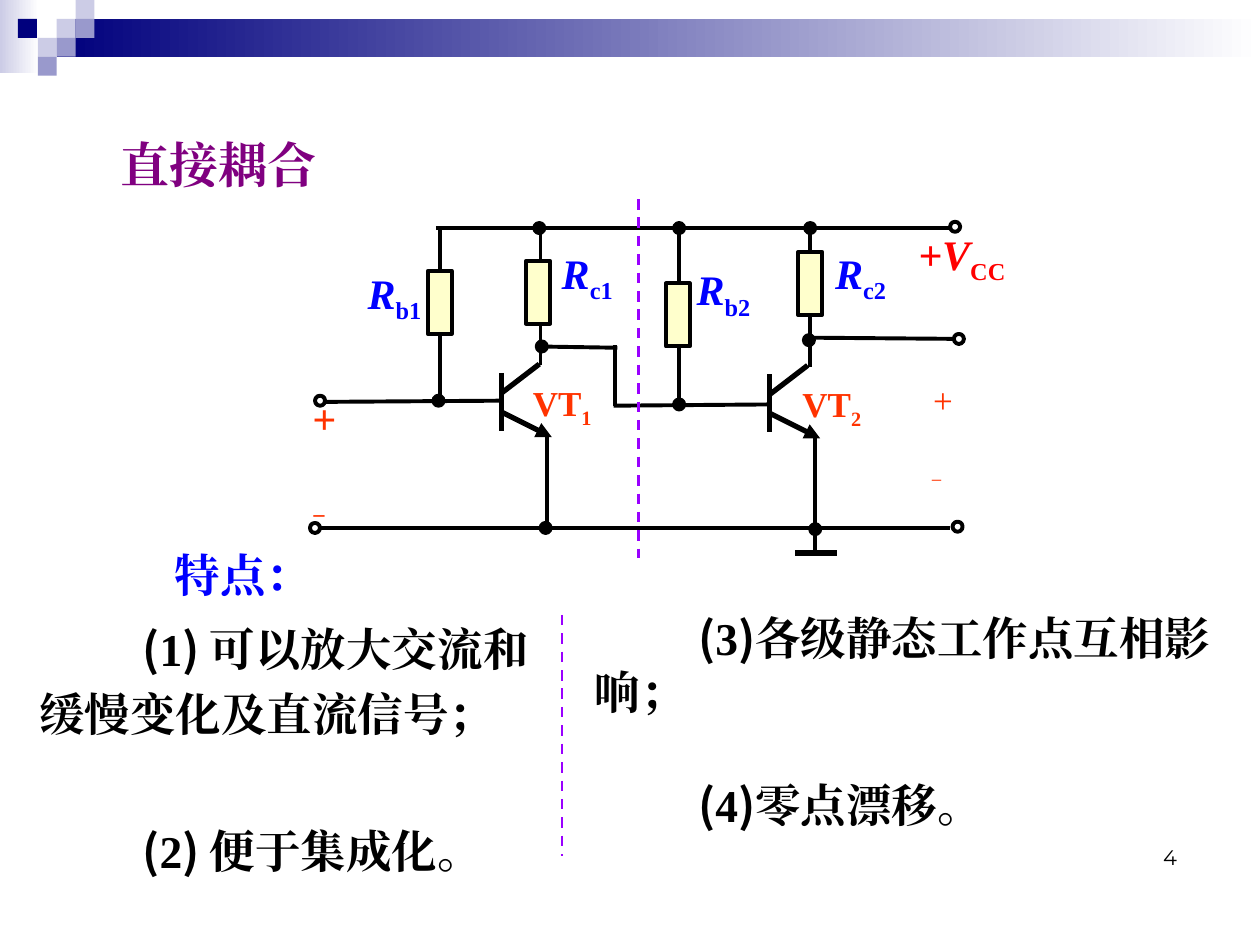
from pptx import Presentation
from pptx.dml.color import RGBColor
from pptx.enum.dml import MSO_LINE
from pptx.enum.shapes import MSO_CONNECTOR, MSO_SHAPE
from pptx.enum.text import MSO_ANCHOR, MSO_AUTO_SIZE, PP_ALIGN
from pptx.oxml.ns import qn
from pptx.util import Inches, Pt
from lxml.etree import SubElement

THEME = {
    "serif": "Times New Roman", "sans": "Noto Sans CJK SC", "number": "Montserrat",
    "black": "000000", "white": "FFFFFF", "purple": "800080", "blue": "0000FF",
    "red": "FF0000", "orange": "FF3300", "cream": "FFFFCC", "violet": "9900FF",
    "navy": "00007D", "pale": "CCCCE6", "mid": "9999CC",
    "title": 28, "body": 26, "label": 24, "small": 20, "page": 12,
    "wire": 2.25, "heavy": 3, "divider": 1.5,
}

TITLE = "直接耦合"
HEADING = "特点："
PAGE_NUMBER = "4"
LEFT_POINTS = [("1", ") ", "可以放大交流和缓慢变化及直流信号；"), ("2", ") ", "便于集成化。")]
RIGHT_POINTS = [("3", ")", "各级静态工作点互相影响；"), ("4", ")", "零点漂移。")]

BANDS = [(0, 0, 0.31, 0.58, "pale"), (0.45, 0.15, 9.55, 0.3, "navy")]
TILE = 0.15
TILES = [(3, 1, "pale"), (4, 0, "pale"), (4, 1, "mid"), (2, 2, "pale"),
         (0.95, 1, "navy"), (3, 2, "mid"), (2, 3, "mid")]

WIRES = [
    (3.49, 1.81, 3.49, 3.19), (4.34, 3.45, 4.34, 4.22), (3.46, 1.81, 5.92, 1.81),
    (3.98, 3.18, 2.54, 3.19), (2.52, 4.19, 7.54, 4.19), (4.28, 2.75, 4.9, 2.76),
    (4.29, 1.81, 4.29, 2.9), (6.47, 4.22, 6.47, 4.39), (5.39, 1.82, 5.39, 3.2),
    (6.47, 3.47, 6.47, 4.23), (5.66, 1.81, 7.63, 1.81), (6.1, 3.21, 4.87, 3.22),
    (6.42, 2.68, 7.63, 2.69), (6.43, 1.82, 6.43, 2.91), (4.88, 2.74, 4.88, 3.22),
]
GROUND_BAR = (6.31, 4.39, 6.64, 4.39)
DIVIDERS = [(5.07, 1.58, 5.07, 4.43), (4.46, 4.88, 4.46, 6.79)]
TRANSISTORS = [(3.98, 2.96), (6.11, 2.97)]
RESISTOR_SIZE = (0.19, 0.5)
RESISTORS = [(3.49, 2.4), (4.27, 2.32), (5.38, 2.5), (6.43, 2.25)]
DOT = 0.08
JUNCTIONS = [(4.24, 1.77), (4.26, 2.71), (3.44, 3.14), (4.29, 4.15), (6.39, 1.77),
             (6.38, 2.66), (6.43, 4.16), (5.35, 1.77), (5.35, 3.17)]
TERMINALS = [(2.46, 4.15), (2.5, 3.14), (7.54, 1.76), (7.57, 2.65), (7.56, 4.14)]

COMPONENT_LABELS = [
    ("R", "c1", 4.36, 1.94, 0.72, "blue"), ("R", "b1", 2.82, 2.1, 0.74, "blue"),
    ("R", "c2", 6.53, 1.94, 0.72, "blue"), ("R", "b2", 5.43, 2.07, 0.74, "blue"),
    ("+V", "CC", 7.19, 1.79, 0.93, "red"),
]
TRANSISTOR_LABELS = [("VT", "1", 4.13, 2.98), ("VT", "2", 6.27, 2.99)]
POLARITIES = [(2.38, 2.91, 0.47, 1.3, "label", True), (7.29, 2.82, 0.46, 1.1, "small", False)]

deck = Presentation()
deck.slide_width, deck.slide_height = Inches(10), Inches(7.5)
page = deck.slides.add_slide(deck.slide_layouts[3])


def color(name):
    return RGBColor.from_string(THEME[name])


def add_span(para, text, size, shade, bold=True, italic=False, face="serif", lowered=False):
    span = para.add_run()
    span.text = text
    font = span.font
    font.name, font.size = THEME[face], Pt(THEME[size])
    font.bold, font.italic = bold, italic
    font.color.rgb = color(shade)
    properties = span.font._element
    SubElement(properties, qn("a:ea")).set("typeface", THEME[face])
    if lowered:
        properties.set("baseline", "-25000")


def place(box, left, top, width, height):
    box.left, box.top, box.width, box.height = map(Inches, (left, top, width, height))
    frame = box.text_frame
    frame.word_wrap = True
    frame.auto_size = MSO_AUTO_SIZE.NONE
    frame.vertical_anchor = MSO_ANCHOR.TOP
    return frame


def add_box(left, top, width, height, anchor=MSO_ANCHOR.TOP, wrap=False):
    box = page.shapes.add_textbox(*map(Inches, (left, top, width, height)))
    frame = box.text_frame
    frame.word_wrap = wrap
    frame.auto_size = MSO_AUTO_SIZE.NONE if wrap else MSO_AUTO_SIZE.SHAPE_TO_FIT_TEXT
    frame.vertical_anchor = anchor
    return frame


def add_form(kind, left, top, width, height, fill=None, outlined=True):
    form = page.shapes.add_shape(kind, *map(Inches, (left, top, width, height)))
    form.shadow.inherit = False
    if fill:
        form.fill.solid()
        form.fill.fore_color.rgb = color(fill)
    if outlined:
        form.line.color.rgb = color("black")
        form.line.width = Pt(THEME["wire"])
    else:
        form.line.fill.background()
    return form


def add_line(x1, y1, x2, y2, weight="wire", shade="black", dashed=False, arrow=False):
    line = page.shapes.add_connector(MSO_CONNECTOR.STRAIGHT, *map(Inches, (x1, y1, x2, y2)))
    line.line.color.rgb = color(shade)
    line.line.width = Pt(THEME[weight])
    if dashed:
        line.line.dash_style = MSO_LINE.DASH
    properties = line._element.spPr
    if arrow:
        SubElement(properties.find(qn("a:ln")), qn("a:tailEnd")).set("type", "triangle")
    SubElement(properties, qn("a:effectLst"))


def add_transistor(x, y):
    add_line(x, y, x, y + 0.46, "heavy")
    add_line(x, y + 0.16, x + 0.3, y - 0.07, "heavy")
    add_line(x, y + 0.31, x + 0.4, y + 0.51, "heavy", arrow=True)


def fill_points(frame, points, gap, first_spacing):
    for index, (number, closing, text) in enumerate(points):
        para = frame.paragraphs[0] if index == 0 else frame.add_paragraph()
        properties = para._p.get_or_add_pPr()
        properties.set("marL", "0")
        properties.set("indent", str(Inches(0.82)))
        SubElement(properties, qn("a:buNone"))
        para.space_before = Pt(gap if index else 0)
        para.line_spacing = 1.0 if index else first_spacing
        for part, face in (("(", "sans"), (number, "serif"), (closing, "sans"), (text, "serif")):
            add_span(para, part, "body", "black", face=face)


for left, top, width, height, shade in BANDS:
    band = add_form(MSO_SHAPE.RECTANGLE, left, top, width, height, outlined=False)
    band.fill.gradient()
    band.fill.gradient_angle = 0
    for stop, name, position in zip(band.fill.gradient_stops, (shade, "white"), (0, 1)):
        stop.color.rgb = color(name)
        stop.position = position
for column, row, shade in TILES:
    add_form(MSO_SHAPE.RECTANGLE, column * TILE, row * TILE, TILE, TILE, shade, False)

title, left_body, right_body = page.placeholders
para = place(title, 0.86, 1.02, 3.12, 0.57).paragraphs[0]
para.alignment = PP_ALIGN.LEFT
add_span(para, TITLE, "title", "purple")
fill_points(place(left_body, 0.21, 4.79, 4.17, 1.79), LEFT_POINTS, 47, 1.2)
right_frame = place(right_body, 4.62, 4.79, 5.17, 1.92)
right_frame.margin_right = 0
fill_points(right_frame, RIGHT_POINTS, 33, 1.0)

for wire in WIRES:
    add_line(*wire)
add_line(*GROUND_BAR, "heavy")
for x, y in TRANSISTORS:
    add_transistor(x, y)
width, height = RESISTOR_SIZE
for x, y in RESISTORS:
    add_form(MSO_SHAPE.RECTANGLE, x - width / 2, y - height / 2, width, height, "cream")
for dots, shade in ((JUNCTIONS, "black"), (TERMINALS, "white")):
    for left, top in dots:
        add_form(MSO_SHAPE.OVAL, left, top, DOT, DOT, shade)
for divider in DIVIDERS:
    add_line(*divider, "divider", "violet", dashed=True)

for symbol, subscript, left, top, width, shade in COMPONENT_LABELS:
    para = add_box(left, top, width, 0.5, MSO_ANCHOR.MIDDLE).paragraphs[0]
    add_span(para, symbol, "label", shade, italic=True)
    add_span(para, subscript, "label", shade, lowered=True)
for symbol, subscript, left, top in TRANSISTOR_LABELS:
    para = add_box(left, top, 0.68, 0.43).paragraphs[0]
    add_span(para, symbol, "small", "orange")
    add_span(para, subscript, "small", "orange", lowered=True)
for left, top, width, height, size, bold in POLARITIES:
    frame = add_box(left, top, width, height, MSO_ANCHOR.MIDDLE)
    plus, minus = frame.paragraphs[0], frame.add_paragraph()
    plus.line_spacing = minus.line_spacing = 1.5
    add_span(plus, "+", size, "orange", bold, italic=True)
    add_span(minus, "−", size, "orange", bold, lowered=True)

heading = add_box(1.29, 4.29, 2.42, 0.53, wrap=True).paragraphs[0]
add_span(heading, HEADING, "body", "blue")
number = add_box(7.11, 6.45, 2.33, 0.5, MSO_ANCHOR.BOTTOM, True).paragraphs[0]
number.alignment = PP_ALIGN.RIGHT
add_span(number, PAGE_NUMBER, "page", "black", bold=False, face="number")

deck.save("out.pptx")
